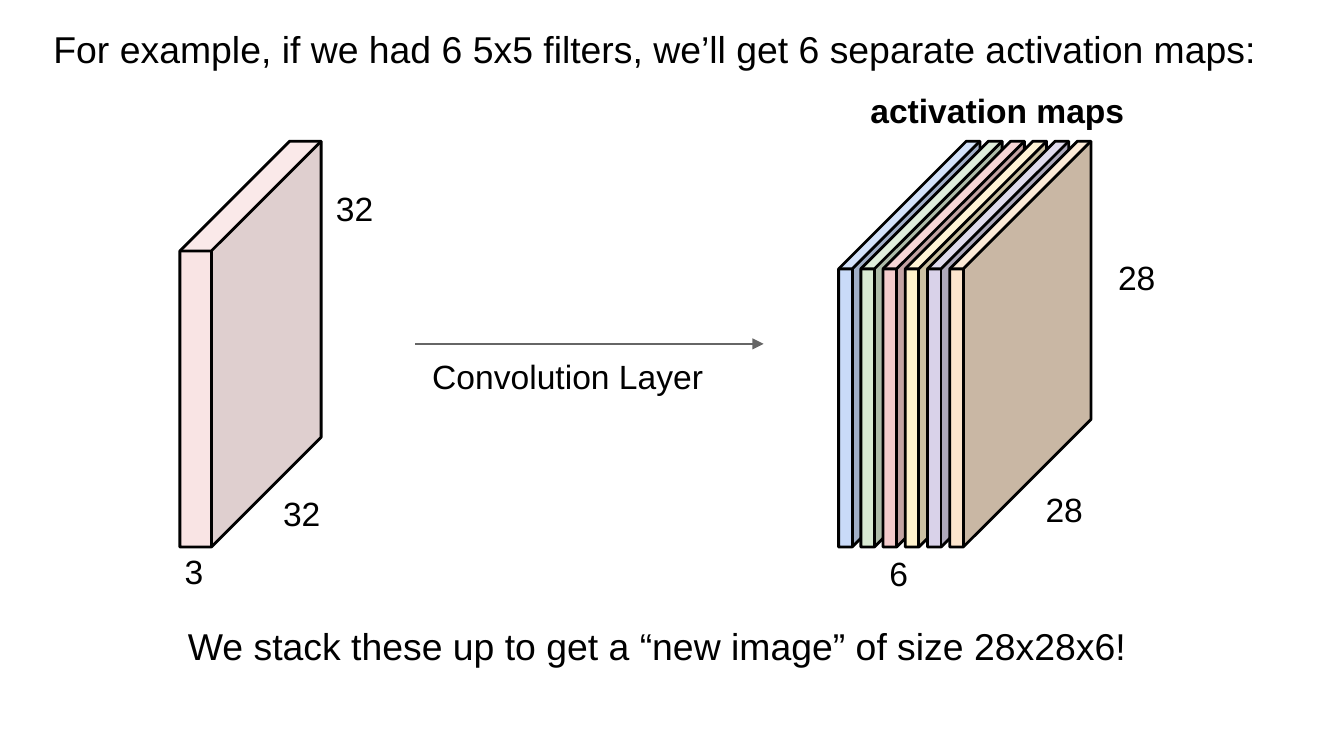
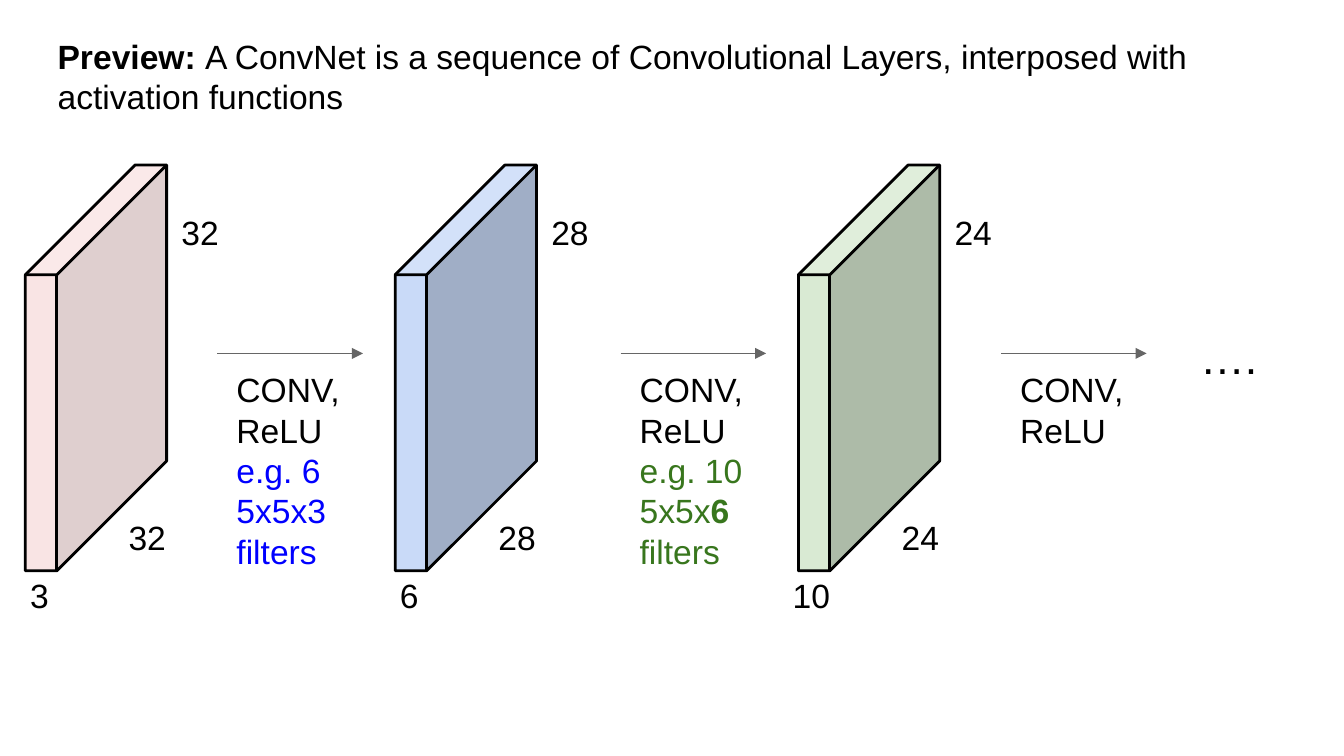
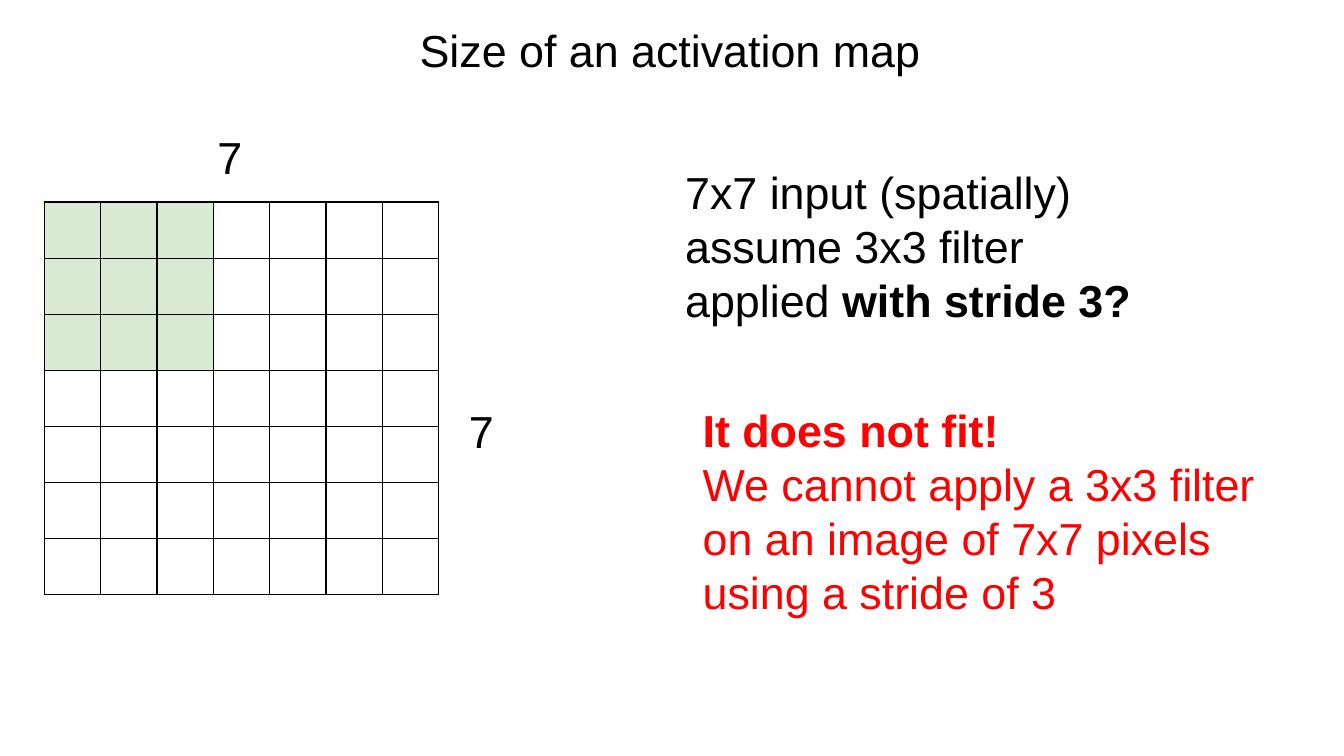
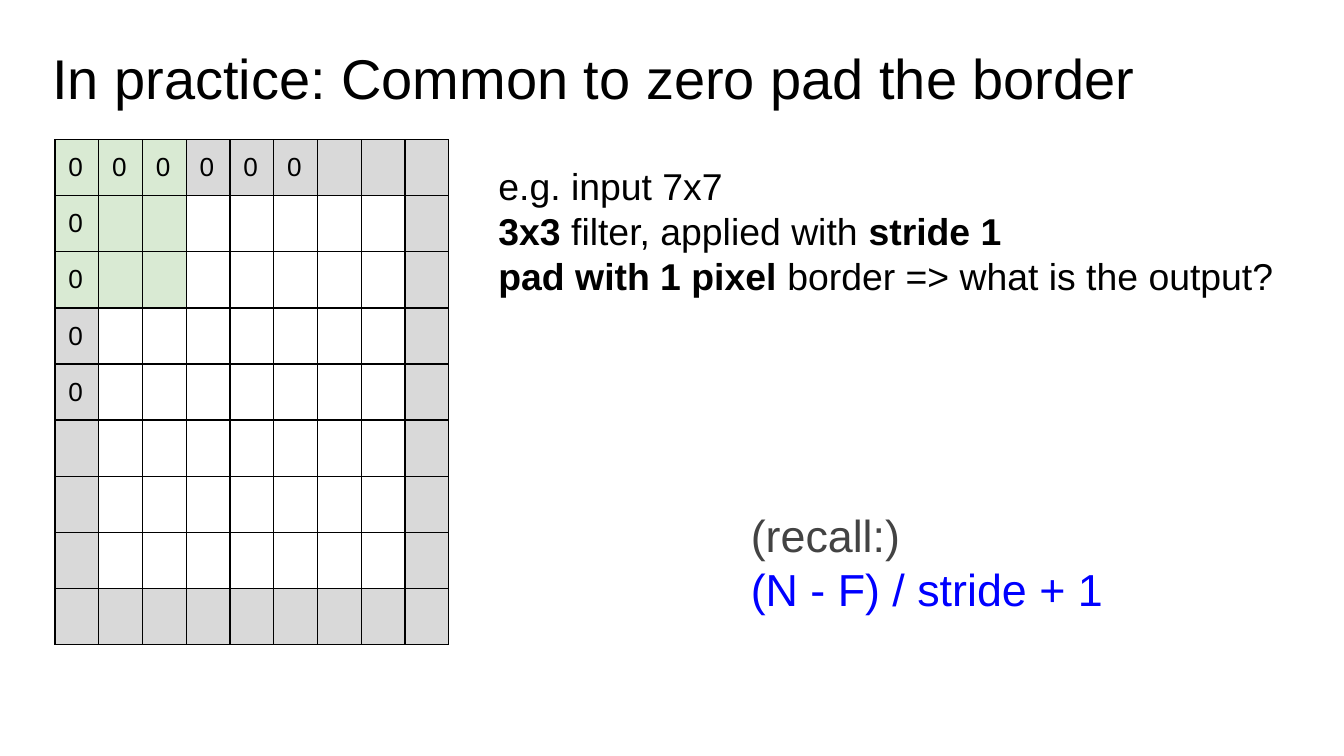
"""Build four slides on convolution layers, stride and zero padding."""
import lxml.etree
import pptx
import pptx.dml.color
import pptx.enum.shapes
import pptx.enum.text
import pptx.oxml.ns
import pptx.util

Cm = pptx.util.Cm
Pt = pptx.util.Pt
qn = pptx.oxml.ns.qn
rgb = pptx.dml.color.RGBColor.from_string
Align = pptx.enum.text.PP_ALIGN
Anchor = pptx.enum.text.MSO_ANCHOR
Form = pptx.enum.shapes.MSO_SHAPE


class Theme:
    font = "Arial"
    black, white, red, blue = "000000", "FFFFFF", "FF0000", "0000FF"
    leaf, slate, gray, pad = "38761D", "434343", "666666", "D9D9D9"
    rose, sky, mint = "F4CCCC", "C9DAF8", "D9EAD3"
    cream, lilac, peach = "FFF2CC", "D9D2E9", "FCE5CD"
    tiny, small, body, large, title = 14, 18, 20, 24, 30
    edge, thin = 1.5, 0.75


def write(slide, x, y, wide, high, lines, size=Theme.small, align=Align.LEFT, anchor=Anchor.TOP):
    box = slide.shapes.add_textbox(Cm(x), Cm(y), Cm(wide), Cm(high))
    frame = box.text_frame
    frame.word_wrap = True
    frame.vertical_anchor = anchor
    frame.margin_left = frame.margin_right = Cm(0.25)
    frame.margin_top = frame.margin_bottom = Cm(0.25)
    for row, (line, color) in enumerate(lines):
        para = frame.paragraphs[0] if row == 0 else frame.add_paragraph()
        para.alignment = align
        for part, words in enumerate(line.split("*")):
            if words:
                run = para.add_run()
                run.text = words
                run.font.name = Theme.font
                run.font.size = Pt(size)
                run.font.bold = part % 2 == 1
                run.font.color.rgb = rgb(color)


def plain(*lines):
    return [(line, Theme.black) for line in lines]


deck = pptx.Presentation()
deck.slide_width, deck.slide_height = Cm(25.4), Cm(14.29)
maps, chain, fit, zero = [deck.slides.add_slide(deck.slide_layouts[6]) for _ in range(4)]

tints = [Theme.sky, Theme.mint, Theme.rose, Theme.cream, Theme.lilac, Theme.peach]
cubes = [
    (maps, 3.4, 2.67, Theme.rose, 0.777),
    (chain, 0.48, 3.12, Theme.rose, 0.777),
    (chain, 7.47, 3.12, Theme.sky, 0.777),
    (chain, 15.09, 3.12, Theme.mint, 0.777),
]
cubes += [(maps, 15.85 + 0.42 * i, 2.67, tint, 0.904) for i, tint in enumerate(tints)]
for slide, x, y, tint, depth in cubes:
    cube = slide.shapes.add_shape(Form.CUBE, Cm(x), Cm(y), Cm(2.67), Cm(7.67))
    cube.adjustments[0] = depth
    cube.shadow.inherit = False
    cube.fill.solid()
    cube.fill.fore_color.rgb = rgb(tint)
    cube.line.color.rgb = rgb(Theme.black)
    cube.line.width = Pt(Theme.edge)
    if tint == Theme.rose and depth < 0.8:
        shade = cube.element.spPr.find(qn("a:solidFill")).find(qn("a:srgbClr"))
        lxml.etree.SubElement(shade, qn("a:alpha"), val="52000")

sizes = [("32", "3", -0.16), ("32", "3", -0.16), ("28", "6", -0.16), ("24", "10", -0.36)]
for (slide, x, y, _, _), (side, deep, shift) in zip(cubes, sizes):
    write(slide, x + 1.7, y + 6.4, 1.37, 0.86, plain(side))
    write(slide, x + 2.7, y + 0.64, 1.37, 0.79, plain(side))
    write(slide, x + shift, y + 7.5, 1.37, 0.51, plain(deep))

arrows = [
    (maps, 7.85, 6.5, 6.58),
    (chain, 4.11, 6.68, 2.75),
    (chain, 11.73, 6.68, 2.75),
    (chain, 18.92, 6.68, 2.75),
]
for slide, x, y, wide in arrows:
    arrow = slide.shapes.add_connector(
        pptx.enum.shapes.MSO_CONNECTOR.STRAIGHT, Cm(x), Cm(y), Cm(x + wide), Cm(y))
    arrow.line.color.rgb = rgb(Theme.gray)
    arrow.line.width = Pt(Theme.thin)
    props = arrow.element.spPr
    lxml.etree.SubElement(props.find(qn("a:ln")), qn("a:tailEnd"), type="triangle")
    lxml.etree.SubElement(props, qn("a:effectLst"))

write(maps, 0.76, 0.25, 24.23, 1.07, plain(
    "For example, if we had 6 5x5 filters, we’ll get 6 separate activation maps:"), Theme.body)
write(maps, 16.2, 1.45, 5.74, 1.5, plain("*activation maps*"))
write(maps, 7.92, 6.48, 9.09, 2.26, plain("Convolution Layer"))
write(maps, 16.56, 10.21, 0.91, 0.86, plain("6"))
write(maps, 19.51, 8.99, 1.37, 0.86, plain("28"))
write(maps, 20.88, 4.6, 1.37, 0.86, plain("28"))
write(maps, 3.3, 11.53, 18.34, 1.3, plain(
    "We stack these up to get a “new image” of size 28x28x6!"), Theme.body)

write(chain, 0.84, 0.43, 23.75, 2.03, plain(
    "*Preview: *A ConvNet is a sequence of Convolutional Layers, interposed with activation functions"))
notes = [
    [("e.g. 6 5x5x3 filters", Theme.blue)],
    [("e.g. 10 5x5x*6 *filters", Theme.leaf)],
    [],
]
for (slide, x, y, _), note in zip(arrows[1:], notes):
    write(slide, x + 0.11, y + 0.05, 2.9, 1.09, plain("CONV,", "ReLU") + note)
write(chain, 22.43, 5.99, 2.67, 0.99, plain("…."), Theme.large)

write(fit, 0.38, 0.18, 24.56, 1.68, plain("Size of an activation map"), Theme.large, Align.CENTER)
write(fit, 3.86, 2.21, 1.52, 1.27, plain("7"), Theme.large)
write(fit, 8.61, 7.39, 1.63, 0.79, plain("7"), Theme.large)
write(fit, 12.7, 2.87, 14.22, 5.11, plain(
    "7x7 input (spatially)", "assume 3x3 filter", "applied *with stride 3?*"), Theme.large)
write(fit, 13.03, 7.37, 11.02, 5.11, [
    ("*It does not fit!*", Theme.red),
    ("We cannot apply a 3x3 filter on an image of 7x7 pixels using a stride of 3", Theme.red),
], Theme.large)

write(zero, 0.74, 0.58, 23.01, 2.06, plain("In practice: Common to zero pad the border"), Theme.title)
write(zero, 9.17, 2.84, 16.23, 4.11, plain(
    "e.g. input 7x7",
    "*3x3* filter, applied with *stride 1*",
    "*pad with 1 pixel* border => what is the output?"), Theme.body)
write(zero, 13.94, 8.92, 8.03, 3.4, [
    ("(recall:)", Theme.slate),
    ("(N - F) / stride + 1", Theme.blue),
], Theme.large, anchor=Anchor.MIDDLE)

for slide, x, y, count, padded in [(fit, 0.84, 3.82, 7, False), (zero, 1.04, 2.64, 9, True)]:
    grid = slide.shapes.add_table(count, count, Cm(x), Cm(y), Cm(7.45), Cm(1.06 * count)).table
    grid.first_row = grid.horz_banding = False
    for i in range(count):
        grid.columns[i].width = Cm(7.45 / count)
        grid.rows[i].height = Cm(1.06)
    for row in range(count):
        for col in range(count):
            cell = grid.cell(row, col)
            cell.margin_left = cell.margin_right = Cm(0.25)
            cell.margin_top = cell.margin_bottom = Cm(0.1)
            cell.vertical_anchor = Anchor.MIDDLE
            rim = padded and (min(row, col) == 0 or max(row, col) == count - 1)
            tint = Theme.mint if max(row, col) < 3 else Theme.pad if rim else Theme.white
            cell.fill.solid()
            cell.fill.fore_color.rgb = rgb(tint)
            if padded and ((row == 0 and col < 6) or (col == 0 and row < 5)):
                cell.text_frame.text = "0"
                font = cell.text_frame.paragraphs[0].runs[0].font
                font.name = Theme.font
                font.size = Pt(Theme.tiny)
                font.color.rgb = rgb(Theme.black)
            props = cell._tc.get_or_add_tcPr()
            for spot, side in enumerate(["a:lnL", "a:lnR", "a:lnT", "a:lnB"]):
                line = lxml.etree.Element(qn(side), w=str(Pt(Theme.thin)))
                ink = lxml.etree.SubElement(line, qn("a:solidFill"))
                lxml.etree.SubElement(ink, qn("a:srgbClr"), val=Theme.black)
                props.insert(spot, line)

deck.save("out.pptx")
